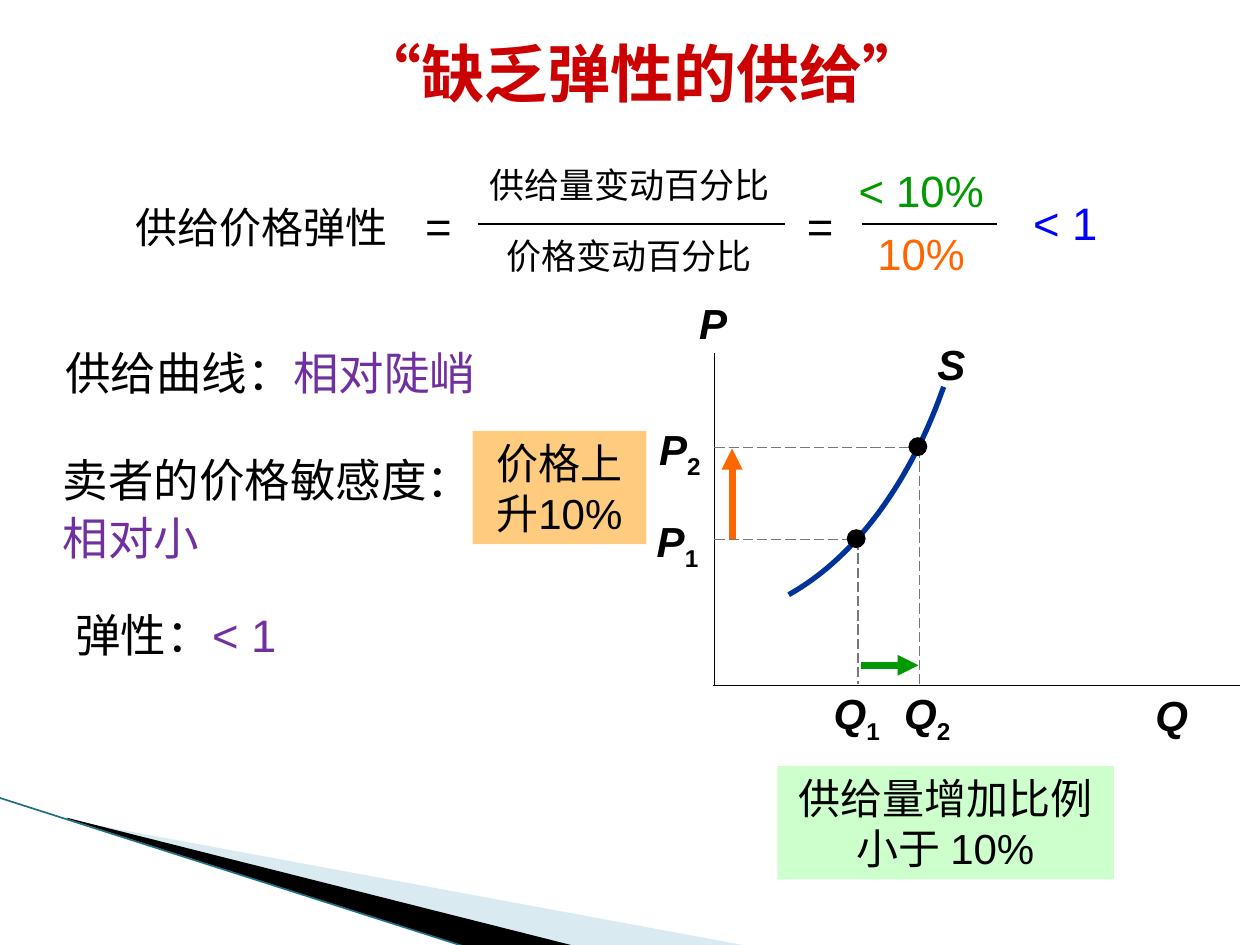
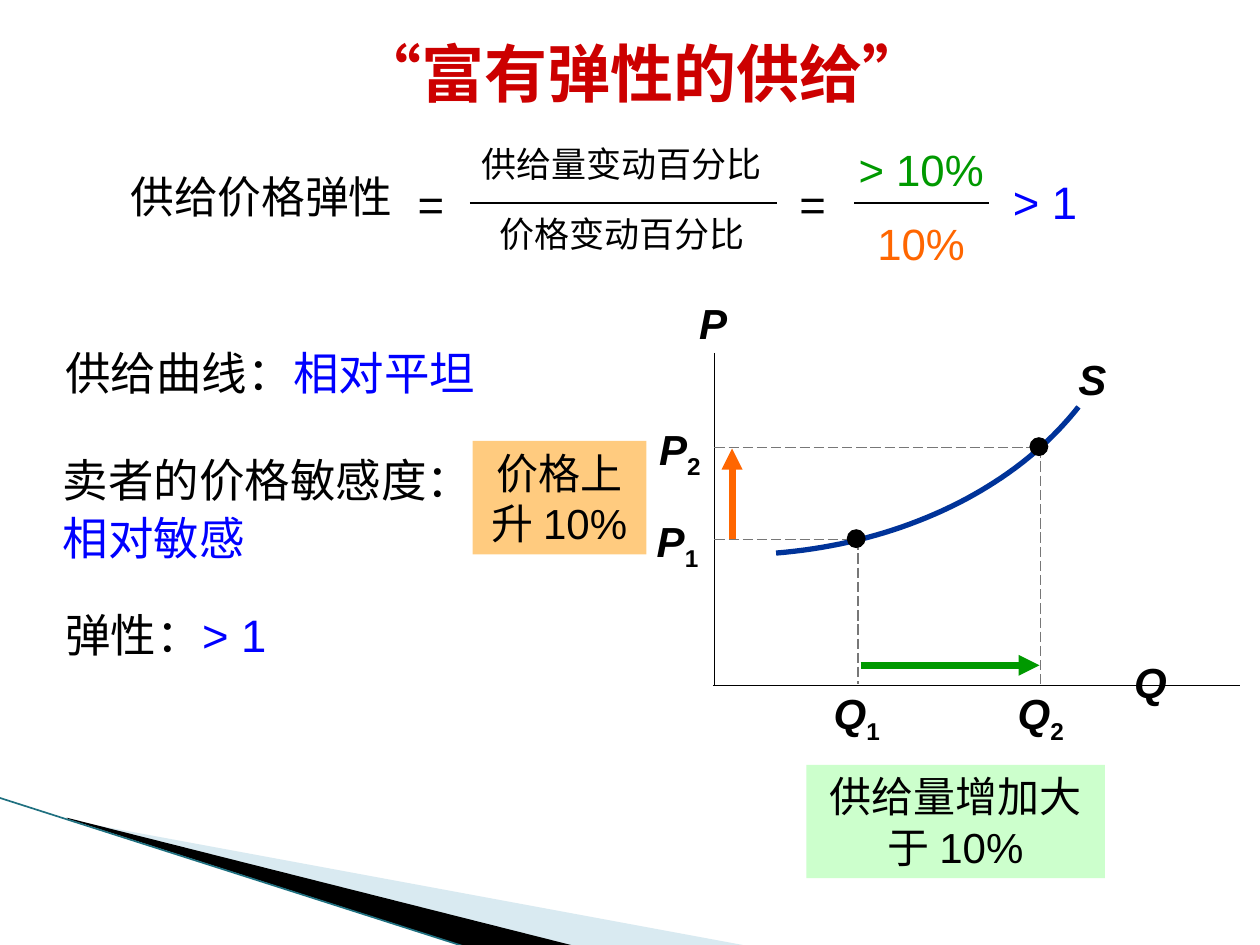
from dataclasses import dataclass

from lxml.etree import SubElement
from pptx import Presentation
from pptx.dml.color import RGBColor
from pptx.enum.dml import MSO_LINE
from pptx.enum.lang import MSO_LANGUAGE_ID
from pptx.enum.shapes import MSO_CONNECTOR, MSO_SHAPE
from pptx.enum.text import MSO_ANCHOR, PP_ALIGN
from pptx.oxml.ns import qn
from pptx.util import Inches, Pt

COLORS = {
    "black": "000000", "title": "CC0000", "curve": "003399", "guide": "777777",
    "price": "FF6600", "quantity": "009900", "blue": "0000FF", "purple": "7030A0",
    "price_note": "FF9900", "quantity_note": "CCFFCC",
    "wedge": "A0CBDC", "wedge_edge": "1F7080",
}
BODY_FONT = "Arial"
TITLE_FONT = "DejaVu Sans Mono"


@dataclass
class Case:
    """What differs between the two kinds of supply."""
    title: str
    sign: str
    accent: str
    slope: str
    sensitivity: str
    price_note: str
    quantity_note: str
    # Equation
    equation_top: float
    equation_shift: float
    label_drop: float
    label_size: int
    lower_drop: float
    result_left: float
    # Graph, relative to the origin of the axes
    curve: list
    s_label: tuple
    q_label: tuple
    q2: float
    q2_label: float
    # Boxes: left, top, width, height
    price_box: tuple
    quantity_box: tuple
    elasticity_left: float


INELASTIC = Case(
    title="“缺乏弹性的供给”", sign="<", accent="purple", slope="相对陡峭",
    sensitivity="相对小", price_note="价格上升10%",
    quantity_note="供给量增加比例小于 10%",
    equation_top=1.25, equation_shift=0, label_drop=0.33, label_size=24,
    lower_drop=0.5, result_left=8.08,
    curve=[(1.82, -2.37), (1.55, -1.6), (1.11, -1.01), (0.59, -0.72)],
    s_label=(1.54, -2.8), q_label=(3.25, -0.02), q2=1.63, q2_label=1.69,
    price_box=(3.75, 3.42, 1.38, 0.9), quantity_box=(6.17, 6.08, 2.67, 0.9),
    elasticity_left=0.5)

ELASTIC = Case(
    title="“富有弹性的供给”", sign=">", accent="blue", slope="相对平坦",
    sensitivity="相对敏感", price_note="价格上升 10%",
    quantity_note="供给量增加大于 10%",
    equation_top=1.08, equation_shift=-0.06, label_drop=0.25, label_size=25,
    lower_drop=0.59, result_left=7.92,
    curve=[(2.89, -2.21), (2.38, -1.56), (1.49, -1.13), (0.49, -1.05)],
    s_label=(2.66, -2.68), q_label=(3.08, -0.28), q2=2.59, q2_label=2.59,
    price_box=(3.75, 3.5, 1.38, 0.9), quantity_box=(6.4, 6.07, 2.37, 0.9),
    elasticity_left=0.42)


def rgb(name):
    return RGBColor.from_string(COLORS[name])


def fill_shape(shape, color, alpha=None):
    shape.shadow.inherit = False
    shape.line.fill.background()
    shape.fill.solid()
    shape.fill.fore_color.rgb = rgb(color)
    if alpha:
        tint = shape.fill._xPr.find(".//" + qn("a:srgbClr"))
        SubElement(tint, qn("a:alpha")).set("val", str(alpha * 1000))


def write(shape, spans, size=24, color="black", font=BODY_FONT, bold=False,
          align=PP_ALIGN.CENTER, anchor=MSO_ANCHOR.TOP, spacing=1.0):
    """Write text, or a list of (text, format) spans, as one paragraph."""
    frame = shape.text_frame
    frame.word_wrap = True
    frame.vertical_anchor = anchor
    para = frame.paragraphs[0]
    para.alignment = align
    para.line_spacing = spacing
    if isinstance(spans, str):
        spans = [(spans, {})]
    for text, look in spans:
        span = para.add_run()
        span.text = text
        span.font.name = font
        span.font.size = Pt(size)
        span.font.bold = bold
        span.font.italic = look.get("italic", False)
        span.font.color.rgb = rgb(look.get("color", color))
        span.font.language_id = MSO_LANGUAGE_ID.SIMPLIFIED_CHINESE
        if look.get("subscript"):
            span._r.get_or_add_rPr().set("baseline", "-25000")


def add_text(page, box, spans, **look):
    write(page.shapes.add_textbox(*map(Inches, box)), spans, **look)


def add_note(page, box, text, color, alpha=None):
    note = page.shapes.add_shape(MSO_SHAPE.RECTANGLE, *map(Inches, box))
    fill_shape(note, color, alpha)
    write(note, text)


def add_line(page, start, end, color="black", width=1.0, dashed=False, arrow=False):
    line = page.shapes.add_connector(
        MSO_CONNECTOR.STRAIGHT, *map(Inches, (*start, *end)))
    line.line.color.rgb = rgb(color)
    line.line.width = Pt(width)
    if dashed:
        line.line.dash_style = MSO_LINE.LONG_DASH
    if arrow:
        SubElement(line.line._get_or_add_ln(), qn("a:tailEnd")).set("type", "triangle")
    SubElement(line._element.spPr, qn("a:effectLst"))


def add_outline(page, points, close):
    start, *rest = [(Inches(x), Inches(y)) for x, y in points]
    builder = page.shapes.build_freeform(*start, scale=1.0)
    builder.add_line_segments(rest, close=close)
    outline = builder.convert_to_shape()
    outline.shadow.inherit = False
    return outline


def bezier(points, steps=40):
    """Points along a cubic curve with the four given control points."""
    for step in range(steps + 1):
        t = step / steps
        weights = ((1 - t) ** 3, 3 * t * (1 - t) ** 2, 3 * t * t * (1 - t), t ** 3)
        yield tuple(sum(w * point[axis] for w, point in zip(weights, points))
                    for axis in (0, 1))


def add_corner(page):
    pale = [(0.55, 6.51), (5.95, 7.51), (4.56, 7.51), (0.55, 6.5)]
    dark = [(0.53, 6.49), (4.57, 7.51), (3.72, 7.52), (0.54, 6.5)]
    fill_shape(add_outline(page, pale, True), "wedge", alpha=40)
    fill_shape(add_outline(page, dark, True), "black")
    add_line(page, (-0.01, 6.33), (3.71, 7.52), "wedge_edge", 0.95)


def add_equation(page, case, left, top):
    add_text(page, (left, top + case.label_drop, 2.49, 0.5), "供给价格弹性",
             size=case.label_size, spacing=0.95)

    # Equals signs, fraction bars and the general fraction
    shifted = left + case.equation_shift
    for x in (2.4, 5.43):
        add_text(page, (shifted + x, top + 0.27, 0.5, 0.53), "=", size=26)
    for x, length in ((2.96, 2.44), (6.01, 1.07)):
        add_line(page, (shifted + x, top + 0.53), (shifted + x + length, top + 0.53))
    for text, drop in (("供给量变动百分比", 0), ("价格变动百分比", 0.56)):
        add_text(page, (shifted + 2.86, top + drop, 2.61, 0.43), text, size=20)

    # Values and result
    values = ((f"{case.sign} 10%", 0, "quantity"), ("10%", case.lower_drop, "price"))
    for text, drop, color in values:
        add_text(page, (left + 5.84, top + drop, 1.28, 0.52), text, size=25, color=color)
    add_text(page, (case.result_left, top + 0.25, 0.75, 0.53), f"{case.sign} 1",
             size=26, color="blue")


def add_findings(page, case, left, top):
    findings = (
        ("供给曲线：", case.slope, (left + 0.02, top, 3.6, 0.7)),
        ("卖者的价格敏感度：", case.sensitivity, (left, top + 0.85, 3.65, 1.06)),
        ("弹性：", f"{case.sign} 1", (case.elasticity_left, top + 2.08, 2.35, 0.59)),
    )
    for label, value, box in findings:
        add_text(page, box, [(label, {}), (value, {"color": case.accent})],
                 size=26, align=PP_ALIGN.LEFT, spacing=1.05)


def add_graph(page, case, left, bottom):
    """Draw the graph; left and bottom are where its axes meet."""
    def at(x, y):
        return left + x, bottom + y

    def add_label(x, y, width, letter, index="", align=PP_ALIGN.CENTER):
        spans = [(letter, {"italic": True})]
        if index:
            spans.append((index, {"subscript": True}))
        add_text(page, (*at(x, y), width, 0.5), spans, bold=True, align=align)

    # Supply curve
    curve = add_outline(page, [at(*point) for point in bezier(case.curve)], False)
    curve.fill.background()
    curve.line.color.rgb = rgb("curve")
    curve.line.width = Pt(3)
    add_label(*case.s_label, 0.68, "S")

    # Axes
    add_line(page, at(0, -2.64), at(0, 0))
    add_line(page, at(-0.01, 0), at(4.17, 0))
    add_label(-0.39, -3.13, 0.76, "P")
    add_label(*case.q_label, 0.76, "Q")

    # Both points, with guides and labels
    q1, p1, p2 = 1.14, -1.16, -1.89
    marks = (("1", q1, p1, 1.13, -0.03), ("2", case.q2, p2, case.q2_label, -0.01))
    for index, q, p, q_center, p_right in marks:
        add_line(page, at(q, p), at(q, -0.01), "guide", 0.75, dashed=True)
        add_line(page, at(0, p), at(q, p), "guide", 0.75, dashed=True)
        dot = page.shapes.add_shape(
            MSO_SHAPE.OVAL, *map(Inches, (*at(q - 0.09, p - 0.08), 0.15, 0.15)))
        fill_shape(dot, "black")
        add_label(q_center - 0.32, -0.03, 0.64, "Q", index)
        add_label(p_right - 0.65, p - 0.24, 0.65, "P", index, PP_ALIGN.RIGHT)

    # Changes in price and quantity
    add_line(page, at(0.14, p1), at(0.14, p2 + 0.01), "price", 4, arrow=True)
    add_line(page, at(q1 + 0.02, -0.16), at(case.q2 - 0.01, -0.16),
             "quantity", 4, arrow=True)


def add_supply_slide(deck, case):
    page = deck.slides.add_slide(deck.slide_layouts[6])
    add_corner(page)
    add_text(page, (0.45, 0.27, 9.29, 0.68), case.title, size=36, color="title",
             font=TITLE_FONT, bold=True, anchor=MSO_ANCHOR.MIDDLE, spacing=0.9)
    add_graph(page, case, 5.67, 5.44)
    add_note(page, case.quantity_box, case.quantity_note, "quantity_note")
    add_equation(page, case, 0.83, case.equation_top)
    add_note(page, case.price_box, case.price_note, "price_note", alpha=50)
    add_findings(page, case, 0.4, 2.67)


def main():
    deck = Presentation()
    deck.slide_width = Inches(10)
    deck.slide_height = Inches(7.5)
    for case in (INELASTIC, ELASTIC):
        add_supply_slide(deck, case)
    deck.save("out.pptx")


if __name__ == "__main__":
    main()
